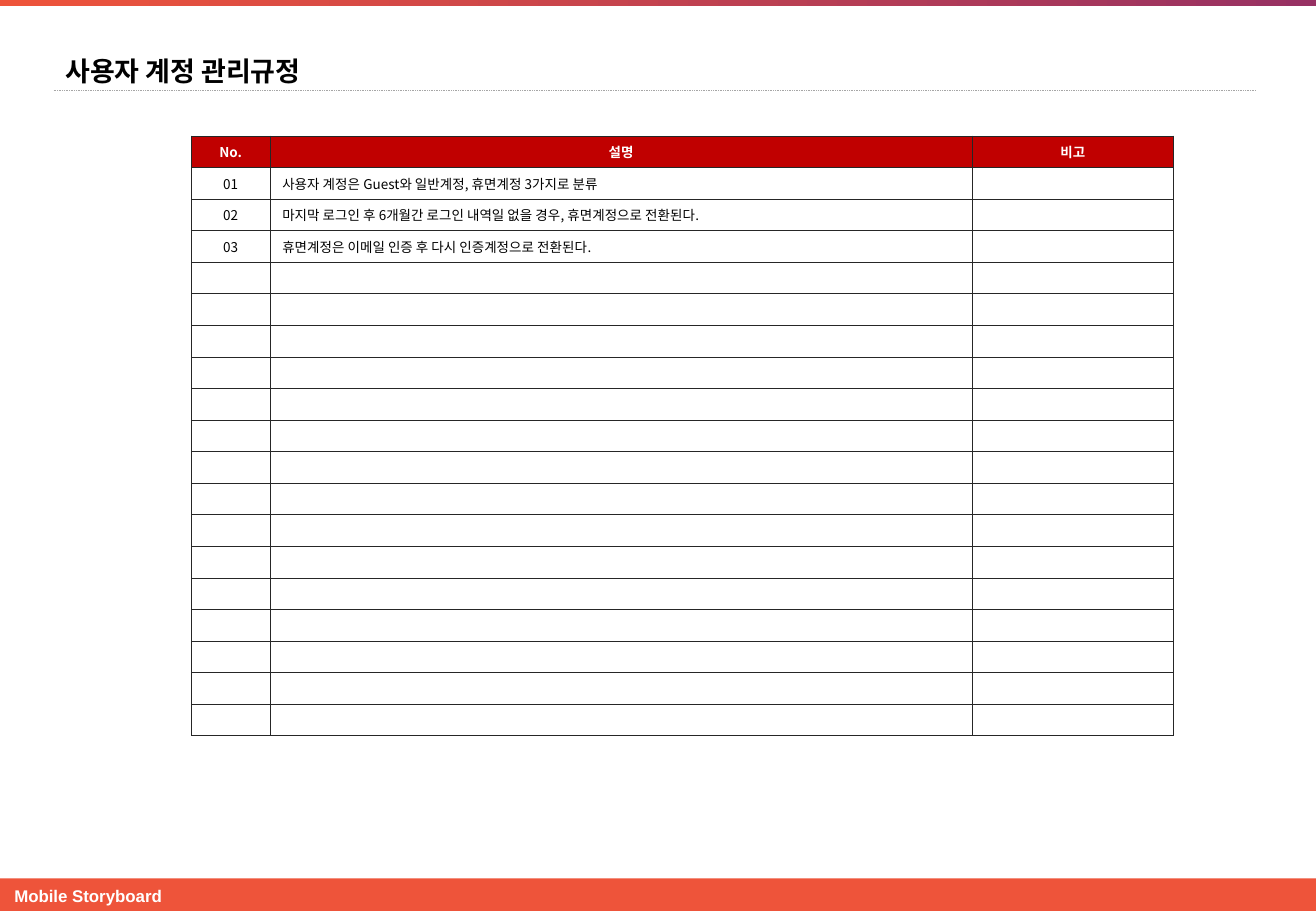
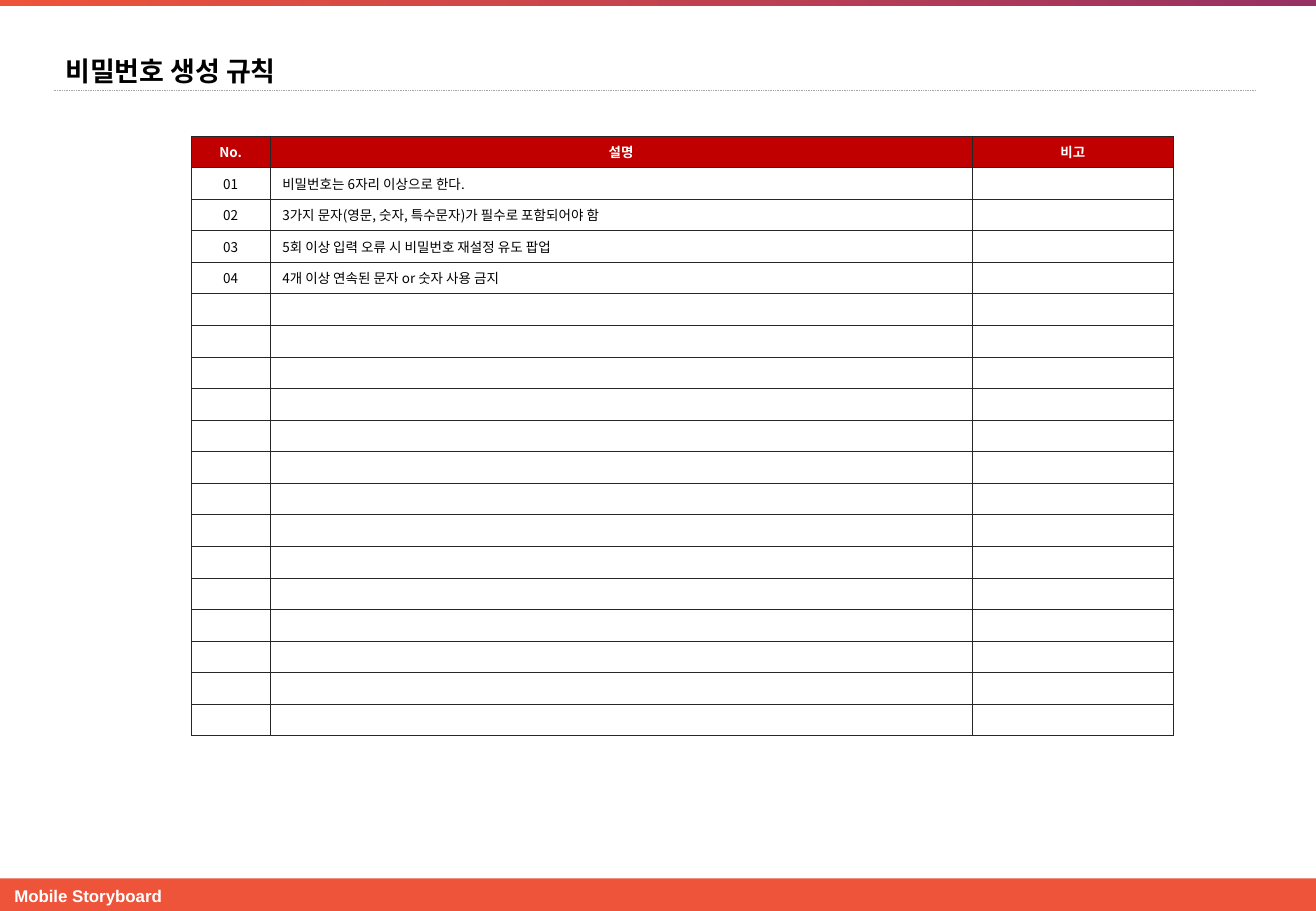
"""Build two policy slides, each with a title and a numbered rule table."""
from itertools import zip_longest

from lxml.etree import SubElement
from pptx import Presentation
from pptx.dml.color import RGBColor
from pptx.enum.dml import MSO_LINE_DASH_STYLE as Dash
from pptx.enum.shapes import MSO_CONNECTOR_TYPE as Connector, MSO_SHAPE as Shape
from pptx.enum.text import MSO_ANCHOR as Anchor, PP_ALIGN as Align
from pptx.oxml import parse_xml
from pptx.oxml.ns import nsdecls, qn
from pptx.util import Cm, Pt

WIDTH, HEIGHT = 27.52, 19.05
FOOTER_HEIGHT, TOP_BAND_HEIGHT = 0.68, 0.13
MARGIN, RULE_TOP, RULE_RIGHT = 1.12, 1.9, 26.28
TABLE_LEFT, TABLE_TOP = 4, 2.84
COLUMN_WIDTHS = (1.65, 14.68, 4.21)
ROW_COUNT, ROW_HEIGHT = 19, 0.66
KOREAN, LATIN = "Noto Sans CJK KR", "Arial"
ORANGE, PURPLE, RED = "EE543A", "973163", "C00000"
WHITE, BLACK, GREY, BORDER = "FFFFFF", "000000", "A6A6A6", "262626"
HEADINGS = ("No.", "설명", "비고")
PAGES = {
    "사용자 계정 관리규정": (
        "사용자 계정은 Guest와 일반계정, 휴면계정 3가지로 분류",
        "마지막 로그인 후 6개월간 로그인 내역일 없을 경우, 휴면계정으로 전환된다.",
        "휴면계정은 이메일 인증 후 다시 인증계정으로 전환된다.",
    ),
    "비밀번호 생성 규칙": (
        "비밀번호는 6자리 이상으로 한다.",
        "3가지 문자(영문, 숫자, 특수문자)가 필수로 포함되어야 함",
        "5회 이상 입력 오류 시 비밀번호 재설정 유도 팝업",
        "4개 이상 연속된 문자 or 숫자 사용 금지",
    ),
}


def color(value):
    return RGBColor.from_string(value)


def write(frame, text, size, ink, bold=False, font=KOREAN, align=Align.LEFT):
    para = frame.paragraphs[0]
    if text:
        para.add_run().text = text
    para.alignment = align
    para.font.size = Pt(size)
    para.font.bold = bold
    para.font.name = font
    para.font.color.rgb = color(ink)
    east_asian = SubElement(para.font._element, qn("a:ea"))
    east_asian.set("typeface", font)


def add_text(page, left, top, width, height, text, size, ink, font, wrap=True):
    box = page.shapes.add_textbox(Cm(left), Cm(top), Cm(width), Cm(height))
    box.text_frame.word_wrap = wrap
    box.text_frame.vertical_anchor = Anchor.MIDDLE
    write(box.text_frame, text, size, ink, bold=True, font=font)


def add_band(page, top, height, start, end=None):
    band = page.shapes.add_shape(Shape.RECTANGLE, 0, Cm(top), Cm(WIDTH), Cm(height))
    band.shadow.inherit = False
    band.line.fill.background()
    if end is None:
        band.fill.solid()
        band.fill.fore_color.rgb = color(start)
        return
    band.fill.gradient()
    band.fill.gradient_angle = 0
    for stop, value in zip(band.fill.gradient_stops, (start, end)):
        stop.color.rgb = color(value)


def add_rule(page):
    rule = page.shapes.add_connector(
        Connector.STRAIGHT, Cm(MARGIN), Cm(RULE_TOP), Cm(RULE_RIGHT), Cm(RULE_TOP))
    rule.line.color.rgb = color(GREY)
    rule.line.width = Pt(0.5)
    rule.line.dash_style = Dash.ROUND_DOT
    SubElement(rule._element.spPr, qn("a:effectLst"))


def add_frame(page, title):
    add_band(page, HEIGHT - FOOTER_HEIGHT, FOOTER_HEIGHT, ORANGE)
    add_text(page, 0.05, 18.39, 3.63, 0.68, "Mobile Storyboard", 10, WHITE, LATIN, wrap=False)
    add_band(page, 0, TOP_BAND_HEIGHT, ORANGE, PURPLE)
    add_rule(page)
    add_text(page, MARGIN, 1, 23.77, 0.94, title, 16, BLACK, KOREAN)


def add_borders(cell):
    properties = cell._tc.get_or_add_tcPr()
    for index, side in enumerate("LRTB"):
        properties.insert(index, parse_xml(
            f'<a:ln{side} {nsdecls("a")} w="{Pt(0.25)}"><a:solidFill>'
            f'<a:srgbClr val="{BORDER}"/></a:solidFill></a:ln{side}>'))


def style_cell(cell, text, is_header, align):
    cell.vertical_anchor = Anchor.MIDDLE
    write(cell.text_frame, text, 8, WHITE if is_header else BLACK, is_header, align=align)
    if is_header:
        cell.fill.solid()
        cell.fill.fore_color.rgb = color(RED)
    else:
        cell.fill.background()
    add_borders(cell)


def add_rule_table(page, rules):
    table = page.shapes.add_table(
        ROW_COUNT, len(COLUMN_WIDTHS), Cm(TABLE_LEFT), Cm(TABLE_TOP),
        Cm(sum(COLUMN_WIDTHS)), Cm(ROW_COUNT * ROW_HEIGHT)).table
    table.horz_banding = False
    for column, width in zip(table.columns, COLUMN_WIDTHS):
        column.width = Cm(width)
    entries = [HEADINGS]
    entries += [(f"{number:02}", rule) for number, rule in enumerate(rules, 1)]
    for index, (row, entry) in enumerate(zip_longest(table.rows, entries, fillvalue=())):
        row.height = Cm(ROW_HEIGHT)
        is_header = index == 0
        for position, (cell, text) in enumerate(zip_longest(row.cells, entry, fillvalue="")):
            centred = is_header or position == 0
            style_cell(cell, text, is_header, Align.CENTER if centred else Align.LEFT)


def main():
    deck = Presentation()
    deck.slide_width, deck.slide_height = Cm(WIDTH), Cm(HEIGHT)
    for title, rules in PAGES.items():
        page = deck.slides.add_slide(deck.slide_layouts[6])
        add_frame(page, title)
        add_rule_table(page, rules)
    deck.save("out.pptx")


if __name__ == "__main__":
    main()
